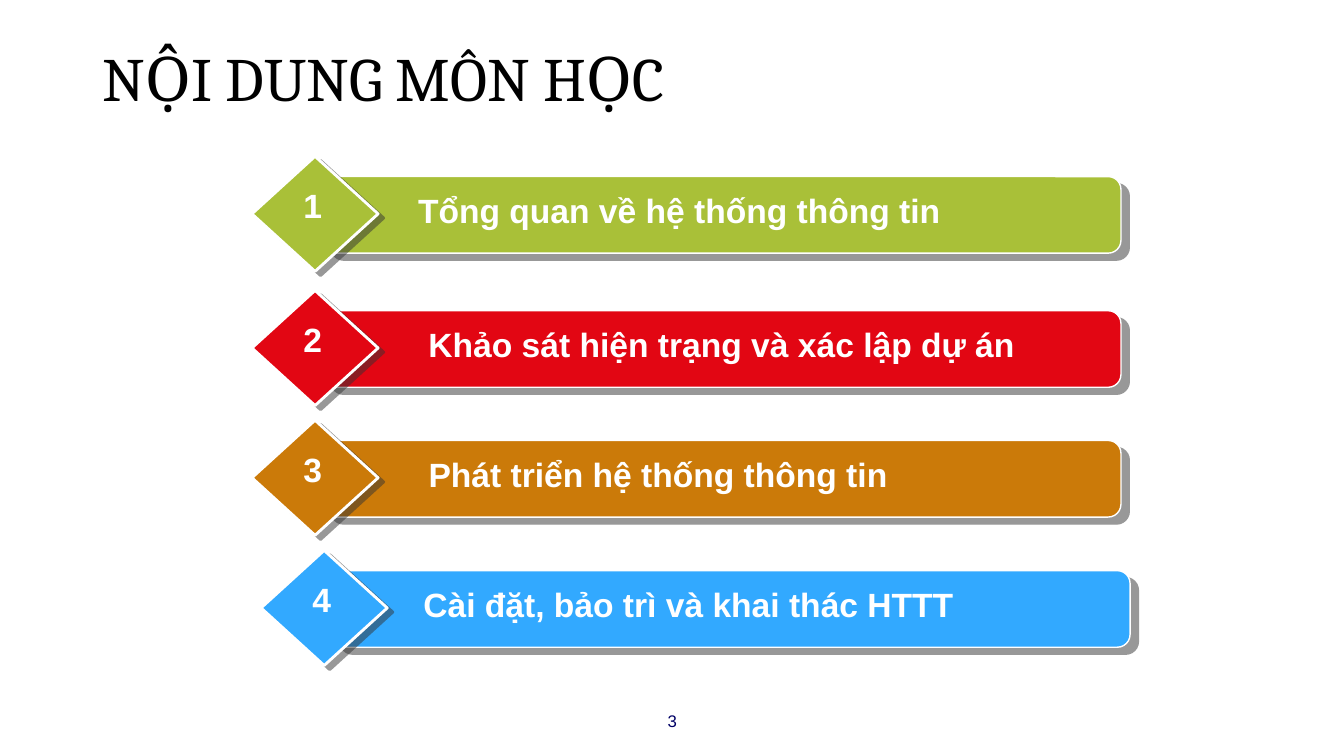
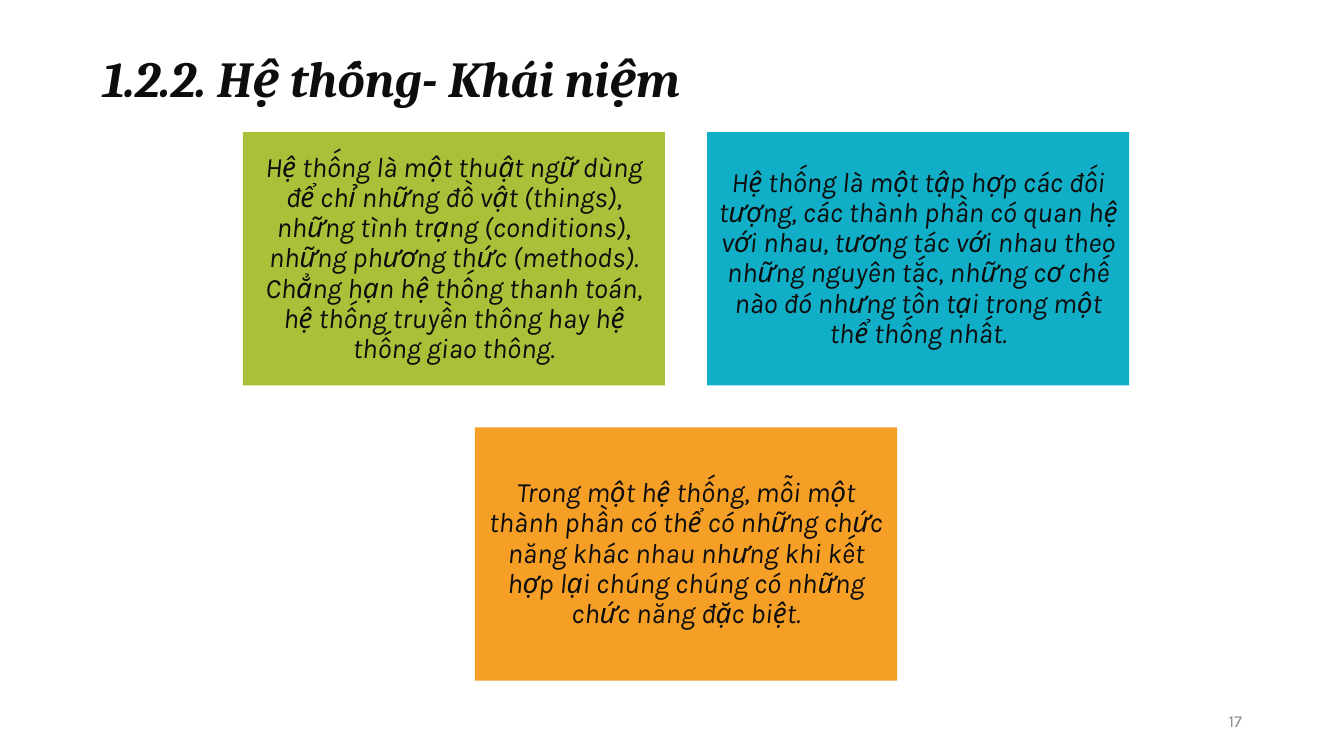
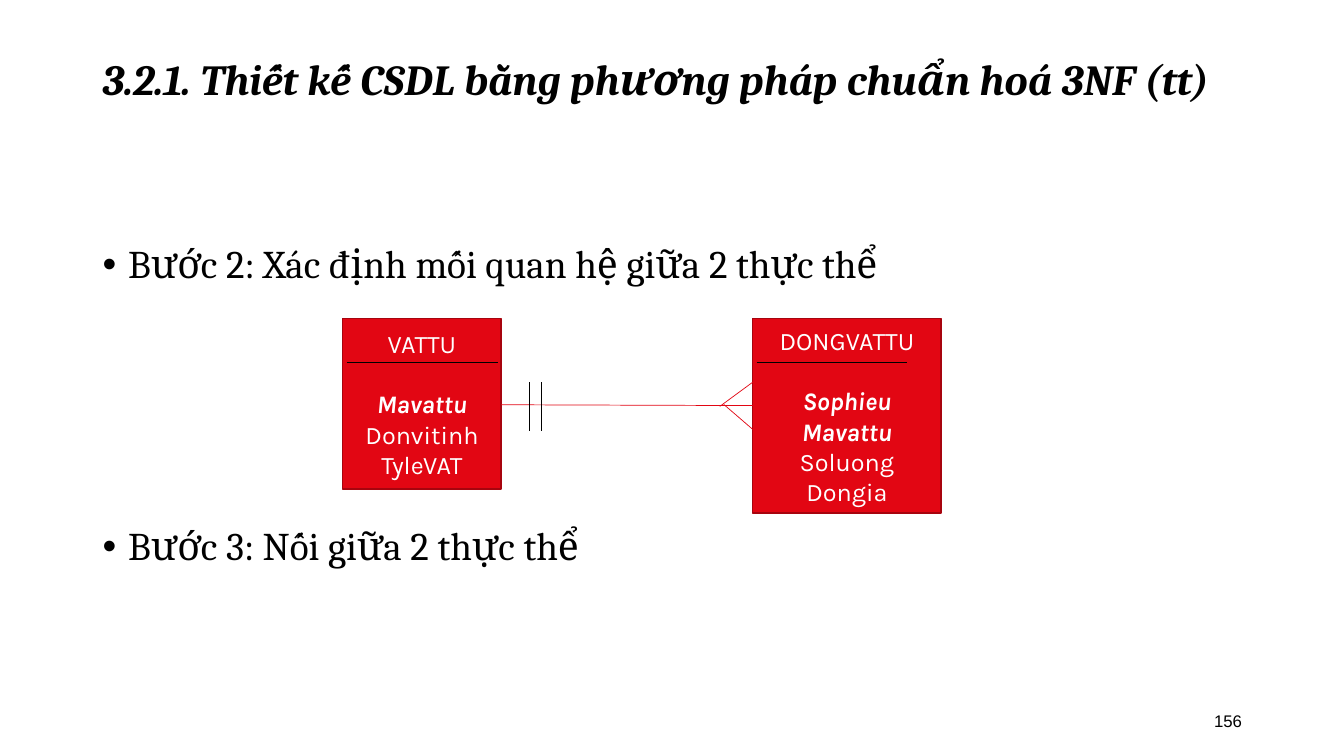
from lxml.etree import SubElement
from pptx import Presentation
from pptx.dml.color import RGBColor
from pptx.enum.shapes import MSO_CONNECTOR, MSO_SHAPE
from pptx.enum.text import MSO_ANCHOR, PP_ALIGN
from pptx.oxml.ns import qn
from pptx.util import Cm, Pt

BLACK = RGBColor(0x00, 0x00, 0x00)
INK = RGBColor(0x0D, 0x0D, 0x0D)
WHITE = RGBColor(0xFF, 0xFF, 0xFF)
GREY = RGBColor(0x8C, 0x8C, 0x8C)
NAVY = RGBColor(0x00, 0x00, 0x66)
GREEN = RGBColor(0xA9, 0xC0, 0x38)
RED = RGBColor(0xE2, 0x06, 0x13)
DARK_RED = RGBColor(0xA7, 0x04, 0x0E)
OCHRE = RGBColor(0xCB, 0x7A, 0x09)
SKY = RGBColor(0x32, 0xA9, 0xFF)
TEAL = RGBColor(0x11, 0xAE, 0xC7)
ORANGE = RGBColor(0xF5, 0x9F, 0x26)

HEADING_FONT = "Cambria"
BODY_FONT = "Karla"
LABEL_FONT = "Arial"


class Deck:
    """Hold the shared style and the current slide, and draw elements given in centimetres."""

    def __init__(self):
        self.presentation = Presentation()
        self.presentation.slide_width = Cm(33.87)
        self.presentation.slide_height = Cm(19.05)
        self.slide = None

    def start(self, title, size, colour=BLACK, slanted=True):
        self.slide = self.presentation.slides.add_slide(self.presentation.slide_layouts[6])
        heading = self.text(title, 2.34, 1.02, 29.92, 2.06, size, HEADING_FONT, colour,
                            anchor=MSO_ANCHOR.MIDDLE, bold=slanted, italic=slanted)
        heading.paragraphs[0].line_spacing = 0.9

    def page_number(self, number, left=23.93, width=7.62, align=PP_ALIGN.RIGHT,
                    font=LABEL_FONT, colour=BLACK):
        self.text(number, left, 17.65, width, 1.02, 12, font, colour, align, MSO_ANCHOR.MIDDLE)

    def style(self, paragraph, size, font, colour, align=PP_ALIGN.LEFT, bold=False, italic=False):
        paragraph.alignment = align
        for run in paragraph.runs:
            run.font.size = Pt(size)
            run.font.name = font
            run.font.color.rgb = colour
            run.font.bold = bold
            run.font.italic = italic

    def text(self, content, left, top, width, height, size, font, colour, align=PP_ALIGN.LEFT,
             anchor=MSO_ANCHOR.TOP, bold=False, italic=False, wrap=True):
        frame = self.slide.shapes.add_textbox(Cm(left), Cm(top), Cm(width), Cm(height)).text_frame
        frame.word_wrap = wrap
        frame.vertical_anchor = anchor
        frame.text = content
        for paragraph in frame.paragraphs:
            self.style(paragraph, size, font, colour, align, bold, italic)
        return frame

    def block(self, preset, left, top, width, height, fill, line=None, weight=1):
        shape = self.slide.shapes.add_shape(preset, Cm(left), Cm(top), Cm(width), Cm(height))
        shape.shadow.inherit = False
        shape.fill.solid()
        shape.fill.fore_color.rgb = fill
        if line is None:
            shape.line.fill.background()
        else:
            shape.line.color.rgb = line
            shape.line.width = Pt(weight)
        return shape

    def cast_shadow(self, shape, distance, angle):
        effects = shape._element.spPr.find(qn("a:effectLst"))
        shadow = SubElement(effects, qn("a:outerShdw"), blurRad="0", dist=str(Pt(distance)),
                            dir=str(angle * 60000), algn="ctr", rotWithShape="0")
        tint = SubElement(shadow, qn("a:srgbClr"), val="333333")
        SubElement(tint, qn("a:alpha"), val="50000")

    def chapter(self, number, name, colour, left, top, label_left, label_width, align, indent):
        bar = self.block(MSO_SHAPE.ROUNDED_RECTANGLE, left + 1.78, top + 0.51, 20.12, 1.93,
                         colour, WHITE)
        self.cast_shadow(bar, 7.8, 40)
        diamond = self.block(MSO_SHAPE.DIAMOND, left, top, 3.18, 2.9, colour, WHITE, 2)
        self.cast_shadow(diamond, 5, 37)
        label = self.text(name, label_left, top + 0.74, label_width, 1.22, 24, LABEL_FONT,
                          WHITE, align, bold=True)
        label.margin_left = Cm(0.18 + indent)
        label.margin_right = Cm(0.18)
        label.margin_top = label.margin_bottom = Cm(0.1)
        digit = self.text(str(number), left + 1.1, top + 0.61, 0.86, 1.22, 24, LABEL_FONT,
                          WHITE, PP_ALIGN.CENTER, bold=True, wrap=False)
        digit.margin_left = digit.margin_right = Cm(0.18)
        digit.margin_top = digit.margin_bottom = Cm(0.1)

    def card(self, content, left, top, width, height, fill):
        frame = self.block(MSO_SHAPE.RECTANGLE, left, top, width, height, fill).text_frame
        frame.word_wrap = True
        frame.vertical_anchor = MSO_ANCHOR.MIDDLE
        frame.margin_left = frame.margin_right = Cm(0.2)
        frame.margin_top = frame.margin_bottom = Cm(0.2)
        frame.text = content
        paragraph = frame.paragraphs[0]
        paragraph.line_spacing = 0.9
        self.style(paragraph, 20, BODY_FONT, INK, PP_ALIGN.CENTER, italic=True)

    def bullets(self, steps, left, top, width, height, gap):
        frame = self.text("\n".join(steps), left, top, width, height, 28, HEADING_FONT, BLACK)
        for index, paragraph in enumerate(frame.paragraphs):
            properties = paragraph._p.get_or_add_pPr()
            properties.set("marL", str(Cm(0.64)))
            properties.set("indent", str(-Cm(0.64)))
            SubElement(properties, qn("a:buFont"), typeface="Arial")
            SubElement(properties, qn("a:buChar"), char="•")
            paragraph.line_spacing = 0.9
            if index:
                paragraph.space_before = Pt(gap)

    def entity(self, name, keys, fields, left, top, width, height):
        frame = self.block(MSO_SHAPE.RECTANGLE, left, top, width, height, RED, DARK_RED).text_frame
        frame.word_wrap = True
        frame.vertical_anchor = MSO_ANCHOR.MIDDLE
        frame.text = "\n".join([name, *keys, *fields])
        for paragraph in frame.paragraphs:
            is_key = paragraph.text in keys
            self.style(paragraph, 18, BODY_FONT, WHITE, PP_ALIGN.CENTER, is_key, is_key)
        frame.paragraphs[1].space_before = Pt(21.6)
        self.line(left + 0.1, top + 1.09, left + 3.9, top + 1.09, BLACK)

    def line(self, x1, y1, x2, y2, colour):
        connector = self.slide.shapes.add_connector(
            MSO_CONNECTOR.STRAIGHT, Cm(x1), Cm(y1), Cm(x2), Cm(y2))
        connector.line.color.rgb = colour
        connector.line.width = Pt(0.5)
        SubElement(connector._element.spPr, qn("a:effectLst"))


def contents_slide(deck):
    deck.start("NỘI DUNG MÔN HỌC", 44, slanted=False)
    centre, left = PP_ALIGN.CENTER, PP_ALIGN.LEFT
    chapters = [
        ("Tổng quan về hệ thống thông tin", GREEN, 6.35, 3.94, 9.17, 15.9, centre, 0),
        ("Khảo sát hiện trạng và xác lập dự án", RED, 6.35, 7.32, 9.17, 18.03, centre, 0),
        ("Phát triển hệ thống thông tin", OCHRE, 6.35, 10.59, 9.68, 15.9, left, 0.94),
        ("Cài đặt, bảo trì và khai thác HTTT", SKY, 6.58, 13.87, 9.4, 15.9, centre, 0),
    ]
    for number, chapter in enumerate(chapters, 1):
        deck.chapter(number, *chapter)
    deck.page_number("3", 11.23, 11.43, PP_ALIGN.CENTER, colour=NAVY)


def concept_slide(deck):
    deck.start("1.2.2. Hệ thống- Khái niệm", 36, INK)
    width, height, gap = 10.64, 6.38, 1.06
    left, top = 6.12, 3.33
    concepts = [
        ("Hệ thống là một thuật ngữ dùng để chỉ những đồ vật (things), những tình trạng "
         "(conditions), những phương thức (methods). Chẳng hạn hệ thống thanh toán, hệ thống "
         "truyền thông hay hệ thống giao thông.", GREEN, 0, 0),
        ("Hệ thống là một tập hợp các đối tượng, các thành phần có quan hệ với nhau, tương tác "
         "với nhau theo những nguyên tắc, những cơ chế nào đó nhưng tồn tại trong một thể "
         "thống nhất.", TEAL, 1, 0),
        ("Trong một hệ thống, mỗi một thành phần có thể có những chức năng khác nhau nhưng khi "
         "kết hợp lại chúng chúng có những chức năng đặc biệt.", ORANGE, 0.5, 1),
    ]
    for content, fill, column, row in concepts:
        deck.card(content, left + column * (width + gap), top + row * (height + gap),
                  width, height, fill)
    deck.page_number("17", font=BODY_FONT, colour=GREY)


def relation_slide(deck):
    deck.start("3.2.1. Thiết kế CSDL bằng phương pháp chuẩn hoá 3NF (tt)", 30.6)
    deck.bullets(["Bước 2: Xác định mối quan hệ giữa 2 thực thể", "Bước 3: Nối giữa 2 thực thể"],
                 2.34, 6.05, 29.92, 11.23, 171)
    deck.entity("VATTU", ["Mavattu"], ["Donvitinh", "TyleVAT"], 8.64, 8.03, 3.99, 4.29)
    deck.entity("DONGVATTU", ["Sophieu", "Mavattu"], ["Soluong", "Dongia"],
                18.97, 8.03, 4.75, 4.9)
    deck.line(12.63, 10.2, 18.97, 10.22, RED)
    for start_x, start_y, end_y in [(18.14, 10.24, 9.63), (18.24, 10.19, 10.82)]:
        deck.line(start_x, start_y, 18.97, end_y, RED)
    for tick in (13.34, 13.64):
        deck.line(tick, 9.63, tick, 10.85, BLACK)
    deck.page_number("156")


def main():
    deck = Deck()
    for build in (contents_slide, concept_slide, relation_slide):
        build(deck)
    deck.presentation.save("out.pptx")


if __name__ == "__main__":
    main()
